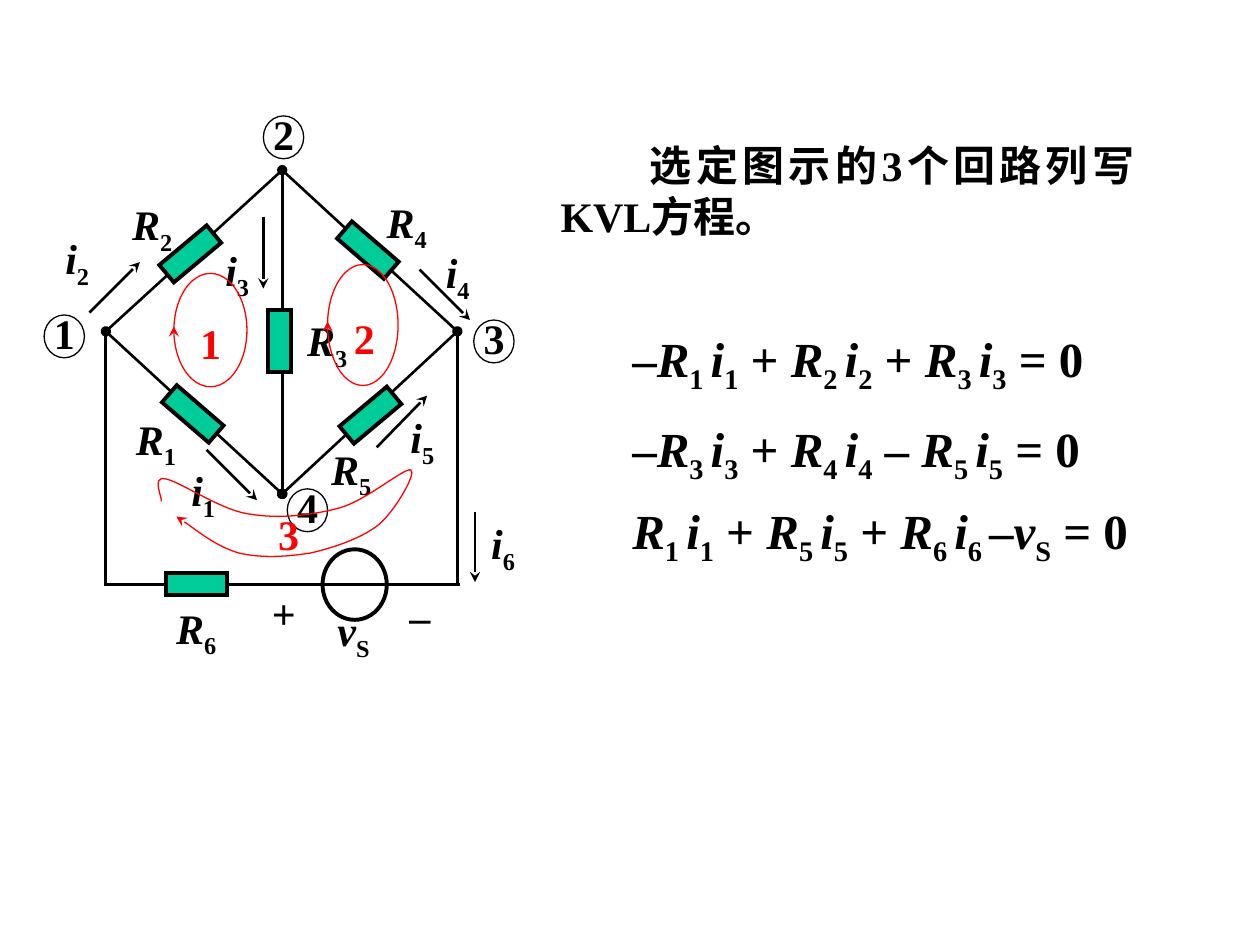
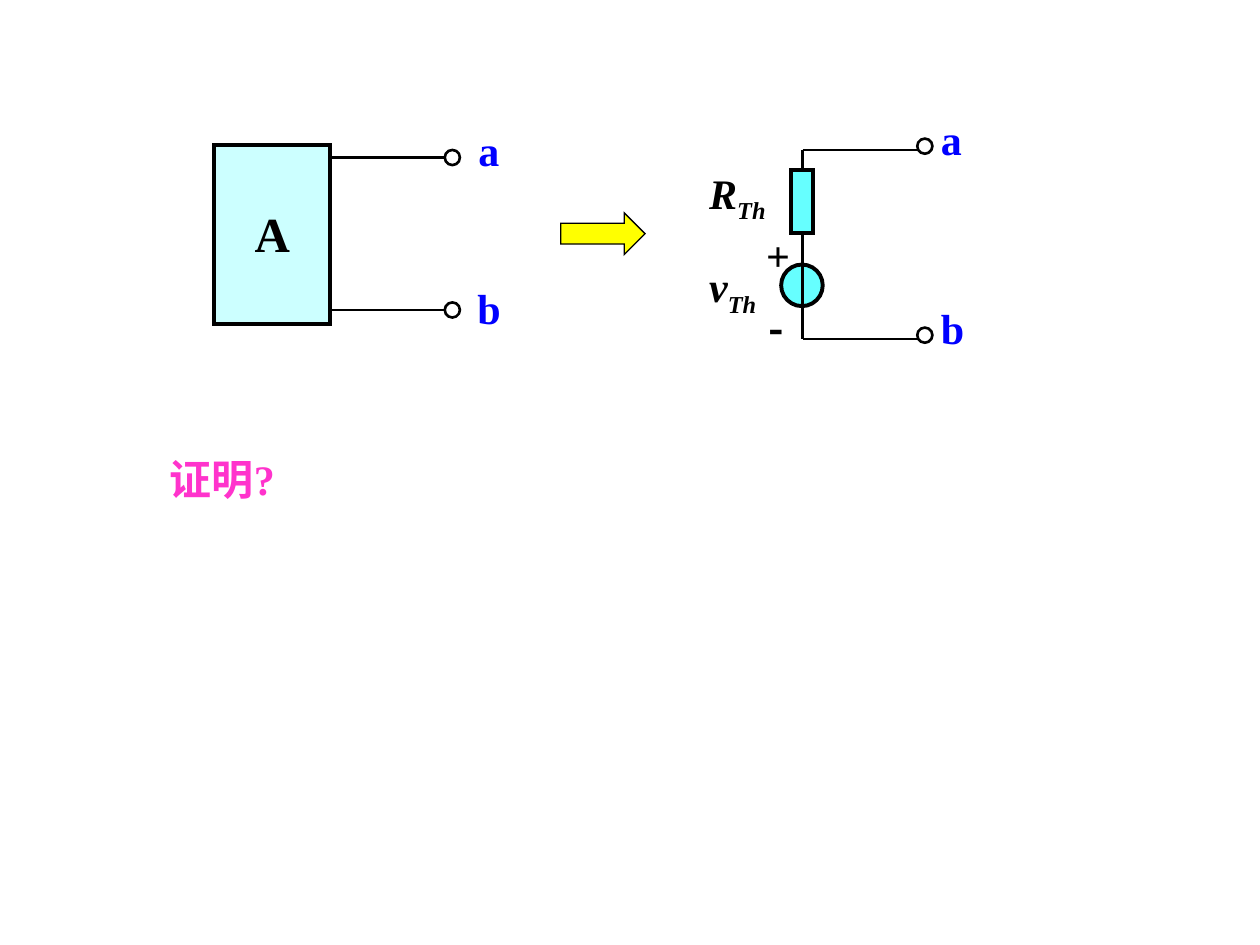
"""Build two circuit slides: loop equations of a bridge, and a Thevenin equivalent."""
from dataclasses import dataclass
from itertools import groupby

from lxml import etree
from pptx import Presentation
from pptx import util as u
from pptx.dml.color import RGBColor
from pptx.enum import shapes, text
from pptx.oxml.ns import qn

COLUMNS, ROWS = 10, 7.5
CELL = u.Inches(1)
LATIN, CJK = "Times New Roman", "Noto Sans CJK SC"
BLACK, RED, BLUE, PINK, YELLOW = "000000", "FF0000", "0000FF", "FF33CC", "FFFF00"
GREEN, PALE_CYAN, CYAN = "00CC99", "CCFFFF", "66FFFF"
THIN, WIRE, BOLD = 0.75, 1.5, 2.25
ITALIC_LETTERS = "RivTh"

RECT = shapes.MSO_SHAPE.RECTANGLE
OVAL = shapes.MSO_SHAPE.OVAL
ARROW = shapes.MSO_SHAPE.RIGHT_ARROW
LEFT, CENTER, JUSTIFY = text.PP_ALIGN.LEFT, text.PP_ALIGN.CENTER, text.PP_ALIGN.JUSTIFY

Point = tuple[float, float]


@dataclass
class Part:
    kind: int
    x: float
    y: float
    width: float
    height: float
    fill: str | None = None
    weight: float = BOLD
    color: str = BLACK
    angle: float = 0


@dataclass
class Wire:
    start: Point
    end: Point
    head: str | None = None
    tail: str | None = None
    color: str = BLACK
    weight: float = WIRE


@dataclass
class Label:
    words: str
    x: float
    y: float
    width: float = 0.54
    height: float = 0.5
    color: str = BLACK
    size: float = 24
    align: int = LEFT
    indent: float = 0
    font: str = LATIN


def grid(cells: float) -> int:
    """Convert grid cells to slide units."""
    return round(cells * CELL)


def rgb(value: str) -> RGBColor:
    """Turn a hex string into a colour."""
    return RGBColor.from_string(value)


def style_line(line, color: str, weight: float, head: str | None = None, tail: str | None = None) -> None:
    """Set colour, weight, mitred corners and arrowheads of a line."""
    line.color.rgb = rgb(color)
    line.width = u.Pt(weight)
    outline = line._get_or_add_ln()
    etree.SubElement(outline, qn("a:miter")).set("lim", "800000")
    for end, form in (("a:headEnd", head), ("a:tailEnd", tail)):
        if form:
            etree.SubElement(outline, qn(end)).set("type", form)


def draw_part(slide, part: Part) -> None:
    """Draw a preset shape."""
    shape = slide.shapes.add_shape(
        part.kind, grid(part.x), grid(part.y), grid(part.width), grid(part.height))
    shape.shadow.inherit = False
    shape.rotation = part.angle
    if part.fill:
        shape.fill.solid()
        shape.fill.fore_color.rgb = rgb(part.fill)
    else:
        shape.fill.background()
    style_line(shape.line, part.color, part.weight)


def draw_wire(slide, wire: Wire) -> None:
    """Draw a straight line or arrow."""
    connector = slide.shapes.add_connector(
        shapes.MSO_CONNECTOR.STRAIGHT, *map(grid, wire.start + wire.end))
    style_line(connector.line, wire.color, wire.weight, wire.head, wire.tail)
    etree.SubElement(connector._element.spPr, qn("a:effectLst"))


def draw_label(slide, label: Label) -> None:
    """Draw text whose underscores enclose subscripts."""
    box = slide.shapes.add_textbox(
        grid(label.x), grid(label.y), grid(label.width), grid(label.height))
    frame = box.text_frame
    frame.word_wrap = True
    if label.align == CENTER:
        frame.vertical_anchor = text.MSO_ANCHOR.MIDDLE
    paragraph = frame.paragraphs[0]
    paragraph.alignment = label.align
    if label.indent:
        paragraph._p.get_or_add_pPr().set("indent", str(grid(label.indent)))
    for position, segment in enumerate(label.words.split("_")):
        for italic, letters in groupby(segment, key=lambda letter: letter in ITALIC_LETTERS):
            run = paragraph.add_run()
            run.text = "".join(letters)
            font = run.font
            font.name, font.size, font.bold, font.italic = label.font, u.Pt(label.size), True, italic
            font.color.rgb = rgb(label.color)
            properties = run._r.get_or_add_rPr()
            etree.SubElement(properties, qn("a:ea")).set("typeface", CJK)
            if position % 2:
                properties.set("baseline", "-25000")


def draw_curve(slide, points: list[Point]) -> None:
    """Draw a red arrow through cubic Bezier control points."""
    start, *controls = [(grid(x), grid(y)) for x, y in points]
    builder = slide.shapes.build_freeform(*start)
    builder.add_line_segments(controls, close=False)
    curve = builder.convert_to_shape()
    curve.shadow.inherit = False
    curve.fill.background()
    style_line(curve.line, RED, THIN, tail="stealth")
    outline = next(curve._element.iter(qn("a:path")))
    segments = outline.findall(qn("a:lnTo"))
    for first in range(0, len(segments), 3):
        cubic = etree.SubElement(outline, qn("a:cubicBezTo"))
        for segment in segments[first:first + 3]:
            cubic.append(segment[0])
            outline.remove(segment)


def draw(slide, items: list) -> None:
    """Draw parts, wires and labels from back to front."""
    painters = {Part: draw_part, Wire: draw_wire, Label: draw_label}
    for item in items:
        painters[type(item)](slide, item)


def draw_bridge(slide) -> None:
    """Draw the bridge circuit with its branches, currents and nodes."""
    top, left, right, bottom = (2.24, 1.35), (0.84, 2.63), (3.63, 2.63), (2.24, 3.92)
    base = 4.64
    draw(slide, [Wire(node, bottom, "oval", "oval") for node in (top, left, right)])
    draw(slide, [Wire(top, left), Wire(top, right)])
    draw(slide, [Wire(node, (node[0], base + 0.01)) for node in (left, right)])
    draw(slide, [Wire((0.85, base), (3.65, base))])

    resistors = [(2.13, 2.46, 0), (1.42, 1.77, 50.1), (2.83, 1.74, 310.8),
                 (2.85, 3.05, 50.1), (1.44, 3.04, 310.8), (1.47, 4.39, 90)]
    draw(slide, [Part(RECT, x, y, 0.18, 0.49, GREEN, angle=angle) for x, y, angle in resistors])
    draw(slide, [Part(OVAL, 2.56, 4.36, 0.51, 0.56)])

    symbols = [("R_1_", 0.98, 3.23), ("R_2_", 0.95, 1.53), ("R_3_", 2.34, 2.45),
               ("R_4_", 2.97, 1.51), ("R_5_", 2.53, 3.47), ("R_6_", 1.3, 4.73),
               ("i_1_", 1.42, 3.64), ("i_2_", 0.42, 1.8), ("i_3_", 1.69, 1.89),
               ("i_4_", 3.44, 1.91), ("i_5_", 3.16, 3.22), ("i_6_", 3.8, 4.06),
               ("v_S_", 2.58, 4.75), ("+", 2.06, 4.61), ("–", 3.15, 4.64)]
    draw(slide, [Label(*symbol) for symbol in symbols])

    currents = [((0.71, 2.48), (1.11, 2.08)), ((2.99, 3.55), (3.39, 3.14)),
                ((1.64, 3.57), (2.04, 3.97)), ((3.33, 2.14), (3.73, 2.54)),
                ((2.09, 1.72), (2.09, 2.29)), ((3.77, 4.06), (3.77, 4.62))]
    draw(slide, [Wire(start, end, tail="stealth") for start, end in currents])

    nodes = [(0.35, 2.5), (2.09, 0.92), (3.76, 2.54), (2.28, 3.88)]
    for number, (x, y) in enumerate(nodes, 1):
        draw(slide, [Label(str(number), x - 0.02, y - 0.11, 0.4),
                     Part(OVAL, x, y, 0.32, 0.34, weight=THIN)])


def draw_loops(slide) -> None:
    """Draw the three numbered red loops."""
    draw_curve(slide, [
        (1.28, 3.98), (1.29, 3.95), (1.2, 3.78), (1.31, 3.8),
        (1.43, 3.82), (1.75, 4.05), (1.98, 4.08), (2.21, 4.12), (2.48, 4.09), (2.7, 4.03),
        (2.91, 3.97), (3.21, 3.71), (3.26, 3.73), (3.31, 3.75), (3.14, 4.05), (3.01, 4.16),
        (2.88, 4.27), (2.64, 4.35), (2.46, 4.39), (2.27, 4.42), (2.07, 4.43), (1.9, 4.39),
        (1.72, 4.34), (1.5, 4.16), (1.4, 4.1)])
    for x, y, width, height, tip in [(1.38, 2.17, 0.58, 0.9, 2.59), (2.6, 2.1, 0.56, 0.96, 2.55)]:
        draw(slide, [Part(OVAL, x, y, width, height, weight=THIN, color=RED),
                     Wire((x, tip + 0.05), (x, tip), tail="stealth", color=RED, weight=THIN)])
    numbers = [("1", 1.49, 2.47), ("2", 2.71, 2.43), ("3", 2.11, 3.99)]
    draw(slide, [Label(*number, width=0.4, color=RED) for number in numbers])


def draw_equations(slide) -> None:
    """Write the task and the three loop equations."""
    draw(slide, [Label("选定图示的3个回路列写KVL方程。", 4.35, 1.06, 4.75, 0.9,
                       align=JUSTIFY, indent=0.71)])
    equations = [("–R_1 _i_1_ + R_2 _i_2_ + R_3 _i_3_ = 0", 2.56),
                 ("–R_3 _i_3_ + R_4 _i_4_ – R_5 _i_5_ = 0", 3.27),
                 ("R_1 _i_1_ + R_5 _i_5_ + R_6 _i_6 _–v_S_ = 0", 3.92)]
    draw(slide, [Label(words, 4.92, y, 4.62, 0.57, size=28) for words, y in equations])


def draw_network(slide) -> None:
    """Draw network A with its two terminals and the arrow."""
    draw(slide, [Part(RECT, 1.7, 1.15, 0.92, 1.42, PALE_CYAN),
                 Label("A", 1.92, 1.56, 0.48, 0.57, size=28, align=CENTER)])
    for name, y, label_y in (("a", 1.25, 0.94), ("b", 2.46, 2.19)):
        draw(slide, [Wire((2.62, y), (3.53, y)),
                     Part(OVAL, 3.53, y - 0.06, 0.12, 0.12, weight=WIRE),
                     Label(name, 3.69, label_y, 0.38, color=BLUE, align=CENTER)])
    draw(slide, [Part(ARROW, 4.45, 1.69, 0.67, 0.33, YELLOW, THIN)])


def draw_equivalent(slide) -> None:
    """Draw the resistor and source in series between the terminals."""
    axis, upper, lower = 6.37, 1.19, 2.69
    draw(slide, [Wire((axis, upper), (axis, lower))])
    for name, y in (("a", upper), ("b", lower)):
        draw(slide, [Wire((axis, y), (7.28, y)),
                     Part(OVAL, 7.28, y - 0.09, 0.12, 0.12, weight=WIRE),
                     Label(name, 7.37, y - 0.34, color=BLUE)])
    draw(slide, [
        Part(RECT, 6.28, 1.35, 0.17, 0.5, CYAN),
        Part(OVAL, 6.2, 2.1, 0.33, 0.33, CYAN),
        Wire((axis, 2.09), (axis, 2.45)),
        Label("R_Th_", 5.53, 1.28, 0.69),
        Label("v_Th_", 5.53, 2.02, 0.75),
        Label("+", 5.98, 1.77, 0.39, align=CENTER),
        Label("-", 5.98, 2.35, 0.37, align=CENTER, font=CJK),
        Label("证明?", 1.25, 3.55, 1.33, color=PINK)])


def main() -> None:
    """Build and save the deck."""
    deck = Presentation()
    deck.slide_width, deck.slide_height = grid(COLUMNS), grid(ROWS)
    blank = deck.slide_layouts[6]
    for painters in ((draw_bridge, draw_loops, draw_equations), (draw_network, draw_equivalent)):
        slide = deck.slides.add_slide(blank)
        for painter in painters:
            painter(slide)
    deck.save("out.pptx")


if __name__ == "__main__":
    main()
